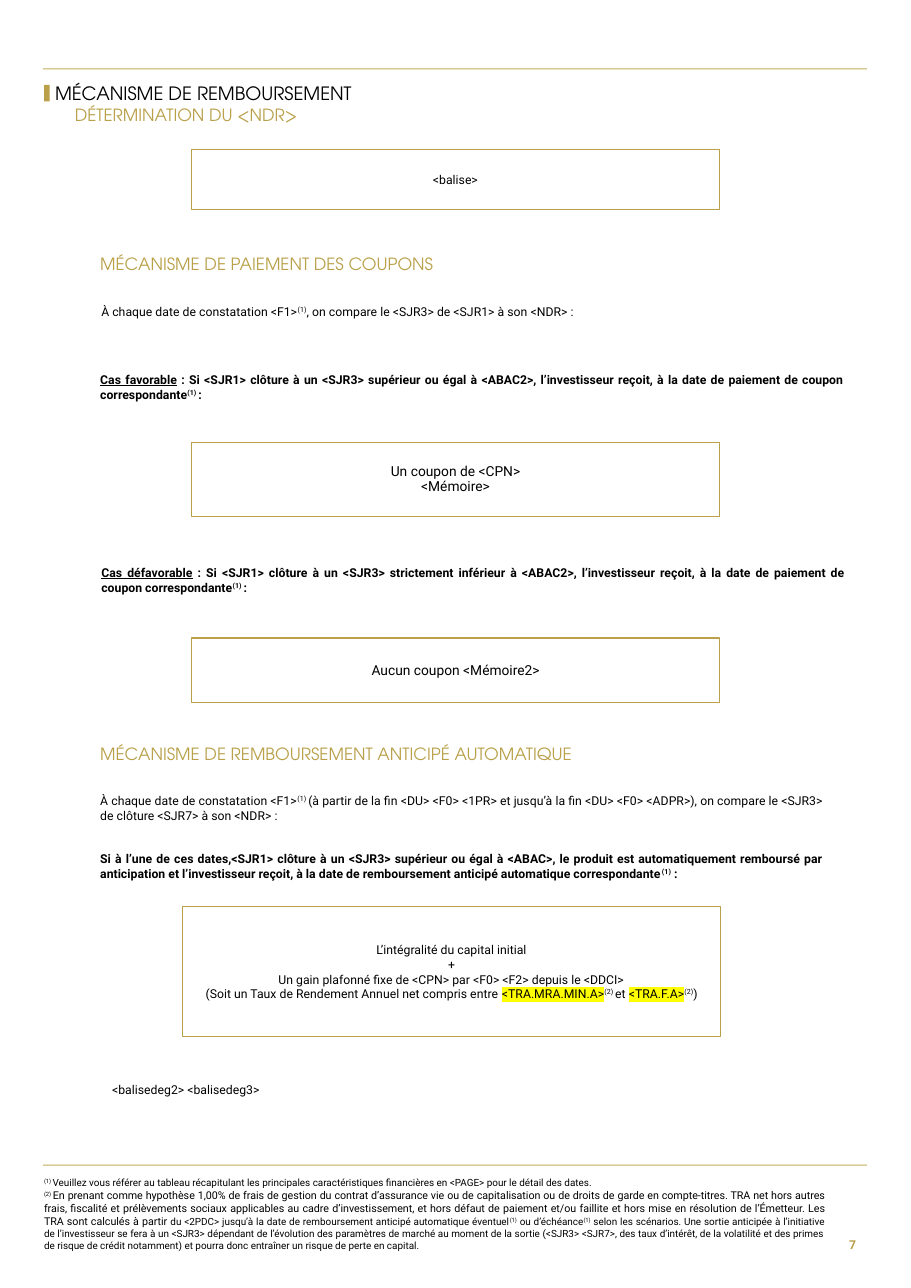
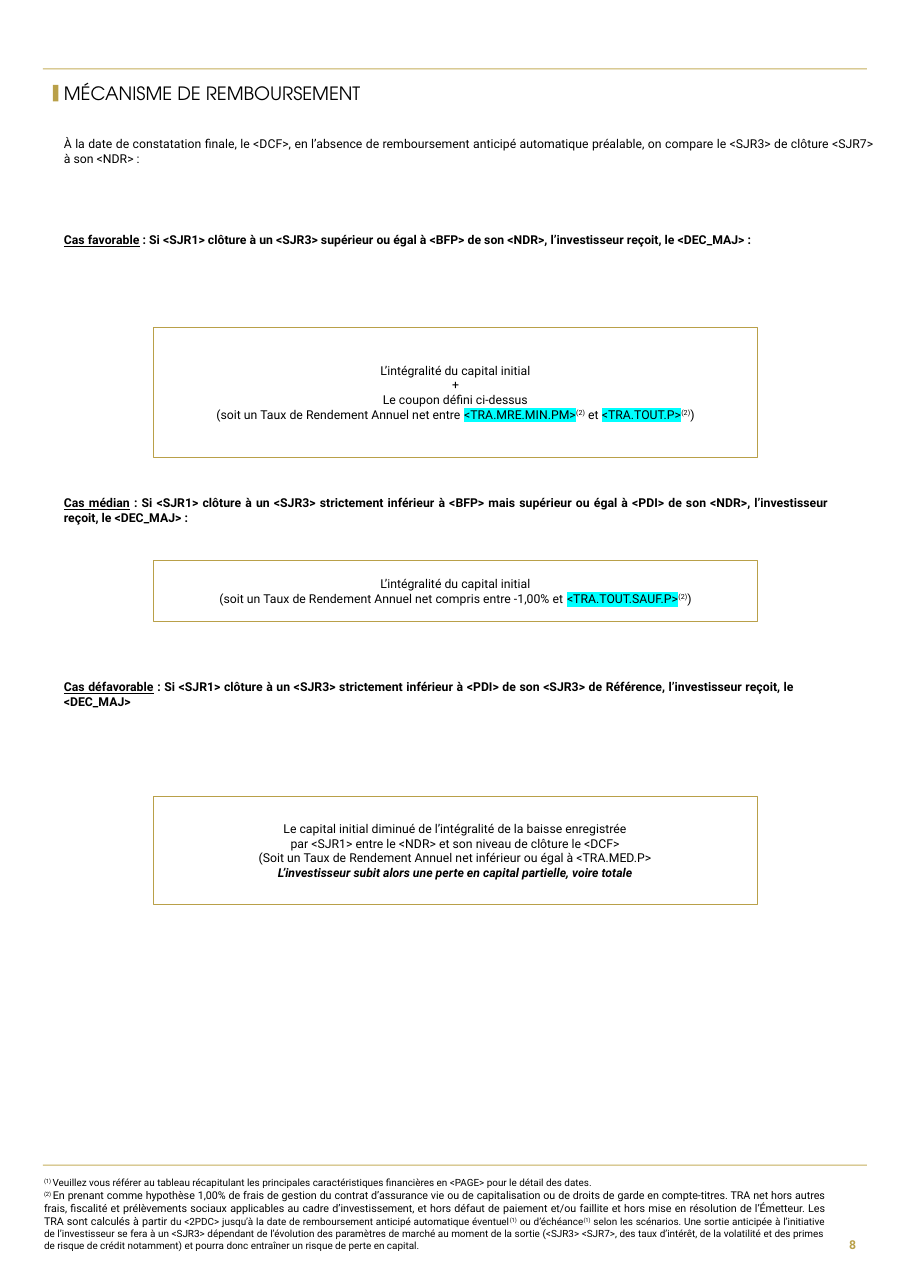
import pptx
import pptx.util
import pptx.dml.color
import pptx.enum.shapes
import pptx.enum.text
import pptx.oxml
import pptx.oxml.ns
from lxml import etree

Inches = pptx.util.Inches
ALIGN = pptx.enum.text.PP_ALIGN
ANCHOR = pptx.enum.text.MSO_ANCHOR
GOLD, RULE_GOLD, BLACK, WHITE = "B9A049", "C5AF5C", "000000", "FFFFFF"
YELLOW, CYAN = "FFFF00", "00FFFF"
BODY_FONT, TITLE_FONT = "Roboto", "TeX Gyre Adventor"
PAGE_WIDTH, PAGE_HEIGHT = 8.27, 11.69
NO_INSET = (0, 0)
PAYOFF_INSET = (0.12, 0.08)
TALL_INSET = (0.12, 0.2)
TITLE = "MÉCANISME DE REMBOURSEMENT"


def color(hex_code):
    return pptx.dml.color.RGBColor.from_string(hex_code)


def styled(text, **style):
    return {"text": text, **style}


def sup(text):
    return styled(text, raised=True)


def marked(text, tint):
    return styled(text, highlight=tint)


def case(label, *pieces):
    return [styled(label, underline=True), *pieces]


NOTES = [
    [sup("(1) "), "Veuillez vous référer au tableau récapitulant les principales caractéristiques "
     "financières en <PAGE> pour le détail des dates."],
    [sup("(2) "),
     styled("En prenant comme hypothèse 1,00% de frais de gestion du contrat d’assurance vie ou de "
            "capitalisation ou de droits de garde en compte-titres. TRA net hors autres frais, fiscalité "
            "et prélèvements sociaux applicables au cadre d’investissement, et hors défaut de paiement "
            "et/ou faillite et hors mise en résolution de l’Émetteur. Les TRA sont calculés à partir ",
            size=7),
     "du <2PDC> jusqu’à la date de remboursement anticipé automatique éventuel", sup("(1)"),
     " ou d’échéance", sup("(1)"),
     " selon les scénarios. Une sortie anticipée à l’initiative de l’investisseur se fera à un <SJR3> "
     "dépendant de l’évolution des paramètres de marché au moment de la sortie (<SJR3> <SJR7>, des taux "
     "d’intérêt, de la volatilité et des primes de risque de crédit notamment) et pourra donc entraîner "
     "un risque de perte en capital."],
]


def add_run(paragraph, text, size=8, font=BODY_FONT, tint=BLACK, bold=False, italic=False,
            underline=False, raised=False, highlight=None):
    run = paragraph.add_run()
    run.text = text
    run.font.size = pptx.util.Pt(size)
    run.font.name = font
    run.font.color.rgb = color(tint)
    run.font.bold = bold
    run.font.italic = italic
    run.font.underline = underline
    properties = run.font._element
    if raised:
        properties.set("baseline", "30000")
    if highlight:
        qn = pptx.oxml.ns.qn
        marker = etree.Element(qn("a:highlight"))
        etree.SubElement(marker, qn("a:srgbClr")).set("val", highlight)
        properties.find(qn("a:solidFill")).addnext(marker)


def write(frame, paragraphs, align, inset=NO_INSET, anchor=ANCHOR.TOP, spacing=1.0, gap=0, **style):
    frame.word_wrap = True
    frame.auto_size = pptx.enum.text.MSO_AUTO_SIZE.NONE
    frame.vertical_anchor = anchor
    frame.margin_left = frame.margin_right = Inches(inset[0])
    frame.margin_top = frame.margin_bottom = Inches(inset[1])
    for index, pieces in enumerate(paragraphs):
        paragraph = frame.add_paragraph() if index else frame.paragraphs[0]
        paragraph.alignment = align
        paragraph.line_spacing = spacing
        paragraph.space_before = pptx.util.Pt(gap if index else 0)
        for piece in pieces:
            part = styled(piece) if isinstance(piece, str) else piece
            add_run(paragraph, **{**style, **part})


def add_text(slide, box, paragraphs, align=ALIGN.JUSTIFY, **options):
    text_box = slide.shapes.add_textbox(*map(Inches, box))
    write(text_box.text_frame, paragraphs, align, **options)


def add_rectangle(slide, box, fill=None, line=None, line_width=0.5):
    rectangle = slide.shapes.add_shape(pptx.enum.shapes.MSO_SHAPE.RECTANGLE, *map(Inches, box))
    rectangle.shadow.inherit = False
    if fill:
        rectangle.fill.solid()
        rectangle.fill.fore_color.rgb = color(fill)
    else:
        rectangle.fill.background()
    if line:
        rectangle.line.color.rgb = color(line)
        rectangle.line.width = pptx.util.Pt(line_width)
    else:
        rectangle.line.fill.background()
    return rectangle


def add_payoff(slide, box, paragraphs, inset=PAYOFF_INSET, fill=None, line_width=0.5, **options):
    payoff = add_rectangle(slide, box, fill, GOLD, line_width)
    write(payoff.text_frame, paragraphs, ALIGN.CENTER, inset, ANCHOR.MIDDLE, **options)


def add_heading(slide, box, text):
    add_text(slide, box, [[text]], ALIGN.LEFT, spacing=0.9, size=11, font=TITLE_FONT, tint=GOLD)


def add_title(slide, box, marker_offset):
    left, top, width, height = box
    title = slide.shapes.title
    title.left, title.top, title.width, title.height = map(Inches, box)
    write(title.text_frame, [[TITLE]], ALIGN.LEFT, anchor=ANCHOR.MIDDLE, spacing=0.9,
          size=12, font=TITLE_FONT)
    add_rectangle(slide, (left - marker_offset, top + 0.04, 0.05, 0.15), GOLD)


def add_footer(slide, box, number):
    left, top, width, height = box
    add_rectangle(slide, (left, top, width, 0.01), RULE_GOLD)
    add_text(slide, (left + 0.01, top + 0.11, 7.09, 0.68), NOTES, size=6.5)
    add_text(slide, (left + width - 0.39, top + 0.52, 0.39, 0.42), [[str(number)]], ALIGN.RIGHT,
             inset=(0.1, 0.05), anchor=ANCHOR.MIDDLE, bold=True, tint=GOLD)


def add_page(deck, number, title_left, marker_offset):
    slide = deck.slides.add_slide(deck.slide_layouts[5])
    add_rectangle(slide, (0.39, 0.62, 7.48, 0.01), RULE_GOLD)
    add_title(slide, (title_left, 0.73, 4.21, 0.25), marker_offset)
    add_footer(slide, (0.39, 10.57, 7.48, 0.94), number)
    return slide


def add_coupon_section(slide, box):
    left, top, width, height = box
    payoff_left, payoff_width = left + 0.83, 4.79
    add_heading(slide, (left, top, width, 0.17), "MÉCANISME DE PAIEMENT DES COUPONS")
    add_text(slide, (left + 0.01, top + 0.44, 6.57, 0.13), [
        ["À chaque date de constatation <F1>", sup("(1)"),
         ", on compare le <SJR3> de <SJR1> à son <NDR> :"]])
    add_text(slide, (left, top + 1.06, 6.76, 0.27), [
        case("Cas favorable",
             " : Si <SJR1> clôture à un <SJR3> supérieur ou égal à <ABAC2>, l’investisseur reçoit, "
             "à la date de paiement de coupon correspondante", sup("(1) "), ":")], bold=True)
    add_payoff(slide, (payoff_left, top + 1.7, payoff_width, 0.67),
               [["Un coupon de <CPN>"], ["<Mémoire>"]], TALL_INSET, WHITE, 0.75, spacing=0.9, size=9)
    add_text(slide, (left + 0.01, top + 2.81, 6.76, 0.27), [
        case("Cas défavorable",
             " : Si <SJR1> clôture à un <SJR3> strictement inférieur à <ABAC2>, l’investisseur reçoit, "
             "à la date de paiement de coupon correspondante", sup("(1) "), ":")], bold=True)
    add_payoff(slide, (payoff_left, top + 3.47, payoff_width, 0.59),
               [["Aucun coupon <Mémoire2>"]], fill=WHITE, line_width=0.75, size=9)


def add_early_redemption_section(slide, box):
    left, top, width, height = box
    add_heading(slide, (left, top, width, 0.17), "MÉCANISME DE REMBOURSEMENT ANTICIPÉ AUTOMATIQUE")
    condition = ["Si à l’une de ces dates,<SJR1> clôture à un <SJR3> supérieur ou égal à <ABAC>, le produit "
                 "est automatiquement remboursé par anticipation et l’investisseur reçoit, à la date de "
                 "remboursement anticipé automatique correspondante", sup("(1)"), " :"]
    add_text(slide, (left, top + 0.43, 6.57, 0.81), [
        ["À chaque date de constatation <F1>", sup("(1) "),
         "(à partir de la fin <DU> <F0> <1PR> et jusqu’à la fin <DU> <F0> <ADPR>), on compare le <SJR3> "
         "de clôture <SJR7> à son <NDR> :"],
        [{**(styled(piece) if isinstance(piece, str) else piece), "bold": True} for piece in condition],
    ], gap=19)
    add_payoff(slide, (left + 0.75, top + 1.46, 4.88, 1.18), [
        ["L’intégralité du capital initial"],
        ["+"],
        ["Un gain plafonné fixe de <CPN> par <F0> <F2> depuis le <DDCI>"],
        ["(Soit un Taux de Rendement Annuel net compris entre ", marked("<TRA.MRA.MIN.A>", YELLOW),
         sup("(2) "), "et ", marked("<TRA.F.A>", YELLOW), sup("(2)"), ")"]])
    add_text(slide, (left + 0.01, top + 3, 6.56, 0.24), [["<balisedeg2> <balisedeg3>"]], ALIGN.LEFT,
             inset=(0.1, 0.05))


def add_final_section(slide, box):
    left, top, width, height = box
    payoff_left, payoff_width = left + 0.81, 5.49
    add_text(slide, (left, top, width, 0.27), [
        ["À la date de constatation finale, le <DCF>, en l’absence de remboursement anticipé automatique "
         "préalable, on compare le <SJR3> de clôture <SJR7> à son <NDR> :"]])
    scenarios = [
        (0.87, 6.64, 0.13,
         case("Cas favorable", " : Si <SJR1> clôture à un <SJR3> supérieur ou égal à <BFP> de son <NDR>, "
              "l’investisseur reçoit, le <DEC_MAJ> :"),
         1.73, 1.18,
         [["L’intégralité du capital initial"],
          ["+"],
          ["Le coupon défini ci-dessus"],
          ["(soit un Taux de Rendement Annuel net entre ", marked("<TRA.MRE.MIN.PM>", CYAN), sup("(2)"),
           " et ", marked("<TRA.TOUT.P>", CYAN), sup("(2)"), ")"]]),
        (3.26, 6.95, 0.27,
         case("Cas médian", " : Si <SJR1> clôture à un <SJR3> strictement inférieur à <BFP> mais supérieur "
              "ou égal à <PDI> de son <NDR>, l’investisseur reçoit, le <DEC_MAJ> :"),
         3.85, 0.55,
         [["L’intégralité du capital initial"],
          ["(soit un Taux de Rendement Annuel net compris entre -1,00% et ",
           marked("<TRA.TOUT.SAUF.P>", CYAN), sup("(2)"), ")"]]),
        (4.93, 6.64, 0.27,
         case("Cas défavorable", " : Si <SJR1> clôture à un <SJR3> strictement inférieur à <PDI> de son "
              "<SJR3> de Référence, l’investisseur reçoit, le <DEC_MAJ>"),
         5.99, 0.98,
         [["Le capital initial diminué de l’intégralité de la baisse enregistrée"],
          ["par <SJR1> entre le <NDR> et son niveau de clôture le <DCF>"],
          ["(Soit un Taux de Rendement Annuel net inférieur ou égal à <TRA.MED.P>"],
          [styled("L’investisseur subit alors une perte en capital partielle, voire totale",
                  bold=True, italic=True)]]),
    ]
    for case_top, case_width, case_height, condition, payoff_top, payoff_height, payoff in scenarios:
        add_text(slide, (left, top + case_top, case_width, case_height), [condition], bold=True)
        add_payoff(slide, (payoff_left, top + payoff_top, payoff_width, payoff_height), payoff)


def main():
    deck = pptx.Presentation()
    deck.slide_width, deck.slide_height = Inches(PAGE_WIDTH), Inches(PAGE_HEIGHT)

    coupon_page = add_page(deck, 7, 0.5, 0.1)
    add_heading(coupon_page, (0.68, 0.97, 3.17, 0.18), "DÉTERMINATION DU <NDR>")
    add_payoff(coupon_page, (1.74, 1.36, 4.79, 0.54), [["<balise>"]], TALL_INSET)
    add_coupon_section(coupon_page, (0.91, 2.32, 6.77, 4.06))
    add_early_redemption_section(coupon_page, (0.91, 6.77, 6.77, 3.24))

    final_page = add_page(deck, 8, 0.58, 0.1)
    add_final_section(final_page, (0.58, 1.24, 7.37, 6.97))

    deck.save("out.pptx")


if __name__ == "__main__":
    main()
